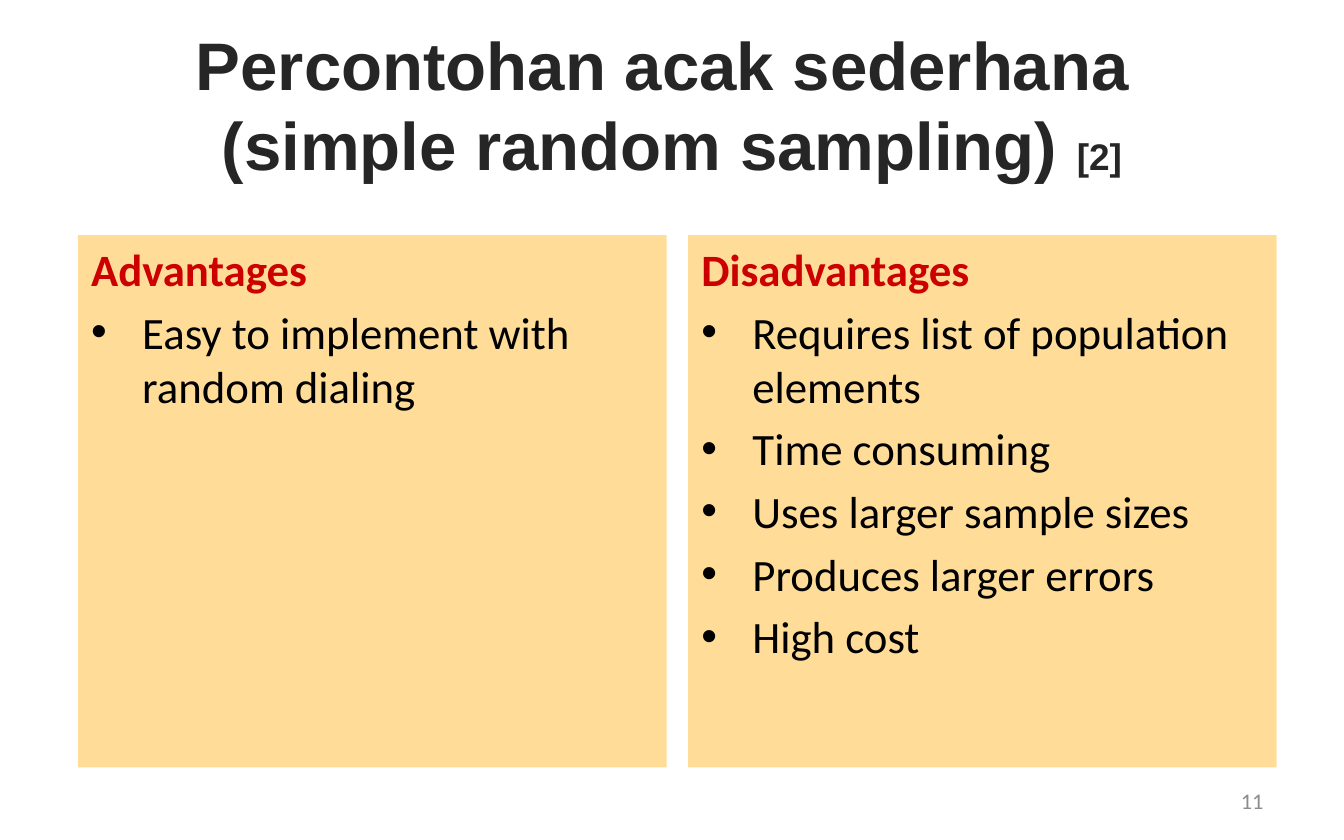
from dataclasses import dataclass

from lxml import etree
from pptx import Presentation
from pptx.dml.color import RGBColor
from pptx.enum.shapes import MSO_SHAPE
from pptx.enum.text import MSO_ANCHOR, PP_ALIGN
from pptx.oxml.ns import qn
from pptx.util import Inches, Pt

RECTANGLE = MSO_SHAPE.RECTANGLE
TOP, MIDDLE = MSO_ANCHOR.TOP, MSO_ANCHOR.MIDDLE
LEFT, CENTER, RIGHT = PP_ALIGN.LEFT, PP_ALIGN.CENTER, PP_ALIGN.RIGHT


@dataclass(frozen=True)
class Theme:
    """Colours, fonts and type sizes of the slide."""
    title_color: RGBColor = RGBColor(0x26, 0x26, 0x26)
    heading_color: RGBColor = RGBColor(0xCC, 0x00, 0x00)
    body_color: RGBColor = RGBColor(0x00, 0x00, 0x00)
    number_color: RGBColor = RGBColor(0x8C, 0x8C, 0x8C)
    panel_fill: RGBColor = RGBColor(0xFF, 0xDD, 0x99)
    title_font: str = "Arial"
    body_font: str = "Calibri"
    title_size: float = 36
    part_size: float = 19.8
    body_size: float = 24
    number_size: float = 12
    item_gap: float = 4.8


THEME = Theme()
PANELS = [
    ("Advantages", ["Easy to implement with random dialing"]),
    ("Disadvantages", [
        "Requires list of population elements",
        "Time consuming",
        "Uses larger sample sizes",
        "Produces larger errors",
        "High cost",
    ]),
]


def add_run(paragraph, text, font, size, color, bold=False):
    """Add one formatted run to a paragraph."""
    run = paragraph.add_run()
    run.text = text
    run.font.name = font
    run.font.size = Pt(size)
    run.font.bold = bold
    run.font.color.rgb = color


def set_hanging_indent(paragraph, bullet=None):
    """Give a paragraph a hanging indent and an optional bullet."""
    properties = paragraph._p.get_or_add_pPr()
    properties.set("marL", str(Inches(0.38)))
    properties.set("indent", str(Inches(-0.38)))
    if bullet:
        etree.SubElement(properties, qn("a:buFont"), typeface="Arial")
        etree.SubElement(properties, qn("a:buChar"), char=bullet)
    else:
        etree.SubElement(properties, qn("a:buNone"))


def add_text_line(slide, box, alignment):
    """Add a wrapped, vertically centred text box and return its paragraph."""
    frame = slide.shapes.add_textbox(*box).text_frame
    frame.word_wrap = True
    frame.vertical_anchor = MIDDLE
    paragraph = frame.paragraphs[0]
    paragraph.alignment = alignment
    return paragraph


def add_title(slide, box):
    """Place the two-line title with its small part number."""
    title = add_text_line(slide, box, CENTER)
    style = THEME.title_font, THEME.title_size, THEME.title_color, True
    add_run(title, "Percontohan acak sederhana ", *style)
    title.add_line_break()
    add_run(title, "(simple random sampling) ", *style)
    add_run(title, "[2]", THEME.title_font, THEME.part_size,
            THEME.title_color, True)


def add_panel(slide, box, heading, items):
    """Place a filled panel with a heading and bulleted items."""
    panel = slide.shapes.add_shape(RECTANGLE, *box)
    panel.shadow.inherit = False
    panel.fill.solid()
    panel.fill.fore_color.rgb = THEME.panel_fill
    panel.line.fill.background()
    frame = panel.text_frame
    frame.word_wrap = True
    frame.vertical_anchor = TOP
    heading_line = frame.paragraphs[0]
    heading_line.alignment = LEFT
    set_hanging_indent(heading_line)
    add_run(heading_line, heading, THEME.body_font, THEME.body_size,
            THEME.heading_color, True)
    for item in items:
        item_line = frame.add_paragraph()
        item_line.alignment = LEFT
        item_line.space_before = Pt(THEME.item_gap)
        set_hanging_indent(item_line, "•")
        add_run(item_line, item, THEME.body_font, THEME.body_size,
                THEME.body_color)


def add_panels(slide, box, gap):
    """Split a box into equal columns, one for each panel."""
    left, top, width, height = box
    column = (width - gap * (len(PANELS) - 1)) // len(PANELS)
    for index, (heading, items) in enumerate(PANELS):
        panel_box = left + index * (column + gap), top, column, height
        add_panel(slide, panel_box, heading, items)


def add_page_number(slide, box):
    """Place the page number at the right of its box."""
    number = add_text_line(slide, box, RIGHT)
    add_run(number, "11", THEME.body_font, THEME.number_size,
            THEME.number_color)


def main():
    """Build and save the slide."""
    deck = Presentation()
    deck.slide_width, deck.slide_height = Inches(10), Inches(6.25)
    slide = deck.slides.add_slide(deck.slide_layouts[6])
    add_title(slide, (Inches(0.5), Inches(0.25), Inches(9), Inches(1.04)))
    add_panels(slide, (Inches(0.58), Inches(1.75), Inches(8.92), Inches(3.96)),
               Inches(0.16))
    add_page_number(
        slide, (Inches(7.17), Inches(5.79), Inches(2.33), Inches(0.33)))
    deck.save("out.pptx")


if __name__ == "__main__":
    main()
